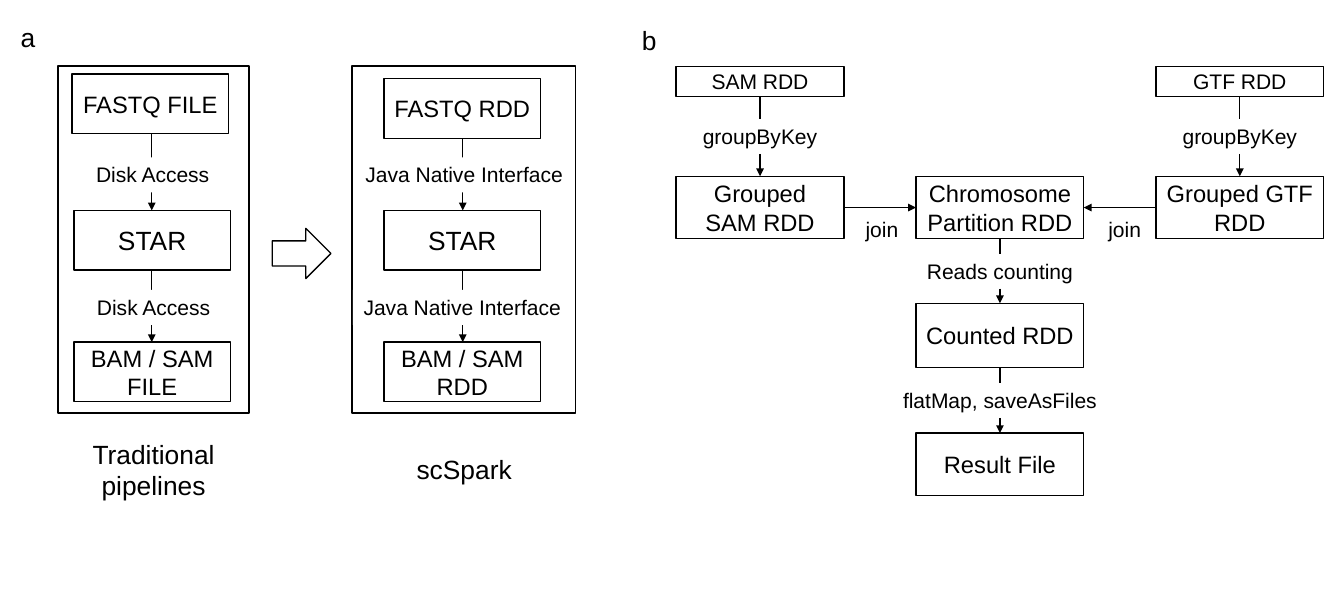
import pptx
import pptx.util
import pptx.dml.color
import pptx.enum.shapes
import pptx.enum.text
import pptx.oxml
import pptx.oxml.ns

SLIDE_WIDTH_CM, SLIDE_HEIGHT_CM = 36, 16
FONT, BLACK, WHITE = "Arial", "000000", "FFFFFF"
LABEL_HEIGHT = 0.37
FRAME_TOP, FRAME_HEIGHT = 0.7, 3.66
STEP_WIDTH, STEP_HEIGHT = 1.65, 0.63
NODE_WIDTH, COLUMN_LEFT, COLUMN_PITCH = 1.77, 7.13, 2.53

PANEL_LETTERS = [("a", 0.12, 0.17), ("b", 6.67, 0.21)]

STEP_SIZES = [18, 20, 18]
LINK_TOPS = [1.66, 3.06]
PIPELINES = [
    {"frame": (0.61, 2.02), "link": "Disk Access", "link_width": 1.42,
     "link_lefts": [0.9, 0.91], "arrow_x": 1.6,
     "steps": ["FASTQ FILE", "STAR", "BAM / SAM FILE"],
     "lefts": [0.76, 0.78, 0.78], "tops": [0.78, 2.22, 3.61],
     "caption": "Traditional pipelines", "caption_box": (0.61, 4.57, 2.02, 0.77)},
    {"frame": (3.71, 2.36), "link": "Java Native Interface", "link_width": 2.31,
     "link_lefts": [3.74, 3.72], "arrow_x": 4.88,
     "steps": ["FASTQ RDD", "STAR", "BAM / SAM RDD"],
     "lefts": [4.05, 4.05, 4.05], "tops": [0.83, 2.22, 3.61],
     "caption": "scSpark", "caption_box": (4.15, 4.73, 1.49, 0.44)},
]

ROWS = [(0.7, 0.32, 16), (1.86, 0.66, 18), (3.2, 0.68, 18), (4.57, 0.66, 18)]
NODES = {
    (0, 0): "SAM RDD", (2, 0): "GTF RDD",
    (0, 1): "Grouped SAM RDD", (1, 1): "Chromosome Partition RDD", (2, 1): "Grouped GTF RDD",
    (1, 2): "Counted RDD", (1, 3): "Result File",
}
FLOWS = [
    (0, 0, "groupByKey", 1.44), (2, 0, "groupByKey", 1.53),
    (1, 1, "Reads counting", 1.81), (1, 2, "flatMap, saveAsFiles", 2.51),
]
JOINS = [(0, 1, 8.99), (2, -1, 11.55)]
JOIN_LABEL_TOP, JOIN_LABEL_WIDTH = 2.24, 0.62

SHAPES = pptx.enum.shapes.MSO_SHAPE
CONNECTORS = pptx.enum.shapes.MSO_CONNECTOR
ALIGN = pptx.enum.text.PP_ALIGN

deck = pptx.Presentation()
deck.slide_width = pptx.util.Cm(SLIDE_WIDTH_CM)
deck.slide_height = pptx.util.Cm(SLIDE_HEIGHT_CM)
page = deck.slides.add_slide(deck.slide_layouts[6])


def inches(*lengths):
    return [pptx.util.Inches(length) for length in lengths]


def color(value):
    return pptx.dml.color.RGBColor.from_string(value)


def write(box, text, size, align=ALIGN.CENTER, wrap=True):
    frame = box.text_frame
    frame.word_wrap = wrap
    frame.text = text
    para = frame.paragraphs[0]
    para.alignment = align
    span = para.runs[0]
    span.font.name = FONT
    span.font.size = pptx.util.Pt(size)
    span.font.color.rgb = color(BLACK)


def add_box(left, top, width, height, text="", size=18, line=1, kind=SHAPES.RECTANGLE):
    box = page.shapes.add_shape(kind, *inches(left, top, width, height))
    box.shadow.inherit = False
    box.fill.solid()
    box.fill.fore_color.rgb = color(WHITE)
    box.line.color.rgb = color(BLACK)
    box.line.width = pptx.util.Pt(line)
    if text:
        write(box, text, size)
        box.text_frame.vertical_anchor = pptx.enum.text.MSO_ANCHOR.MIDDLE


def add_label(left, top, width, height, text, size=16, align=ALIGN.CENTER,
              wrap=False, filled=False):
    label = page.shapes.add_textbox(*inches(left, top, width, height))
    write(label, text, size, align, wrap)
    if filled:
        label.fill.solid()
        label.fill.fore_color.rgb = color(WHITE)


def add_line(start, end, arrow=False, kind=CONNECTORS.STRAIGHT):
    connector = page.shapes.add_connector(kind, *inches(*start, *end))
    connector.line.color.rgb = color(BLACK)
    connector.line.width = pptx.util.Pt(1)
    namespace = pptx.oxml.ns.nsdecls("a")
    properties = connector._element.spPr
    if arrow:
        outline = properties.find(pptx.oxml.ns.qn("a:ln"))
        outline.append(pptx.oxml.parse_xml(f"<a:tailEnd {namespace} type='triangle'/>"))
    properties.append(pptx.oxml.parse_xml(f"<a:effectLst {namespace}/>"))


def column_left(column):
    return COLUMN_LEFT + column * COLUMN_PITCH


for letter, left, top in PANEL_LETTERS:
    add_label(left, top, 0.63, 0.44, letter, 20, ALIGN.LEFT, wrap=True)

for pipeline in PIPELINES:
    frame_left, frame_width = pipeline["frame"]
    add_box(frame_left, FRAME_TOP, frame_width, FRAME_HEIGHT, line=1.5)
    tops = pipeline["tops"]
    for step, left, top, size in zip(pipeline["steps"], pipeline["lefts"], tops, STEP_SIZES):
        add_box(left, top, STEP_WIDTH, STEP_HEIGHT, step, size)
    x = pipeline["arrow_x"]
    for upper, lower, left, link_top in zip(tops, tops[1:], pipeline["link_lefts"], LINK_TOPS):
        add_line((x, upper + STEP_HEIGHT), (x, lower), arrow=True)
        add_label(left, link_top, pipeline["link_width"], LABEL_HEIGHT,
                  pipeline["link"], filled=True)
    add_label(*pipeline["caption_box"], pipeline["caption"], 20, wrap=True)

add_box(2.87, 2.41, 0.62, 0.53, kind=SHAPES.RIGHT_ARROW)

for (column, row), text in NODES.items():
    top, height, size = ROWS[row]
    add_box(column_left(column), top, NODE_WIDTH, height, text, size)

for column, row, text, width in FLOWS:
    x = column_left(column) + NODE_WIDTH / 2
    start = ROWS[row][0] + ROWS[row][1]
    end = ROWS[row + 1][0]
    label_top = (start + end - LABEL_HEIGHT) / 2
    add_line((x, start), (x, label_top))
    add_label(x - width / 2, label_top, width, LABEL_HEIGHT, text)
    add_line((x, label_top + LABEL_HEIGHT), (x, end), arrow=True)

join_y = ROWS[1][0] + ROWS[1][1] / 2
for column, direction, label_left in JOINS:
    reach = direction * NODE_WIDTH / 2
    start = column_left(column) + NODE_WIDTH / 2 + reach
    end = column_left(1) + NODE_WIDTH / 2 - reach
    add_line((start, join_y), (end, join_y), arrow=True, kind=CONNECTORS.ELBOW)
    add_label(label_left, JOIN_LABEL_TOP, JOIN_LABEL_WIDTH, LABEL_HEIGHT, "join")

deck.save("out.pptx")
